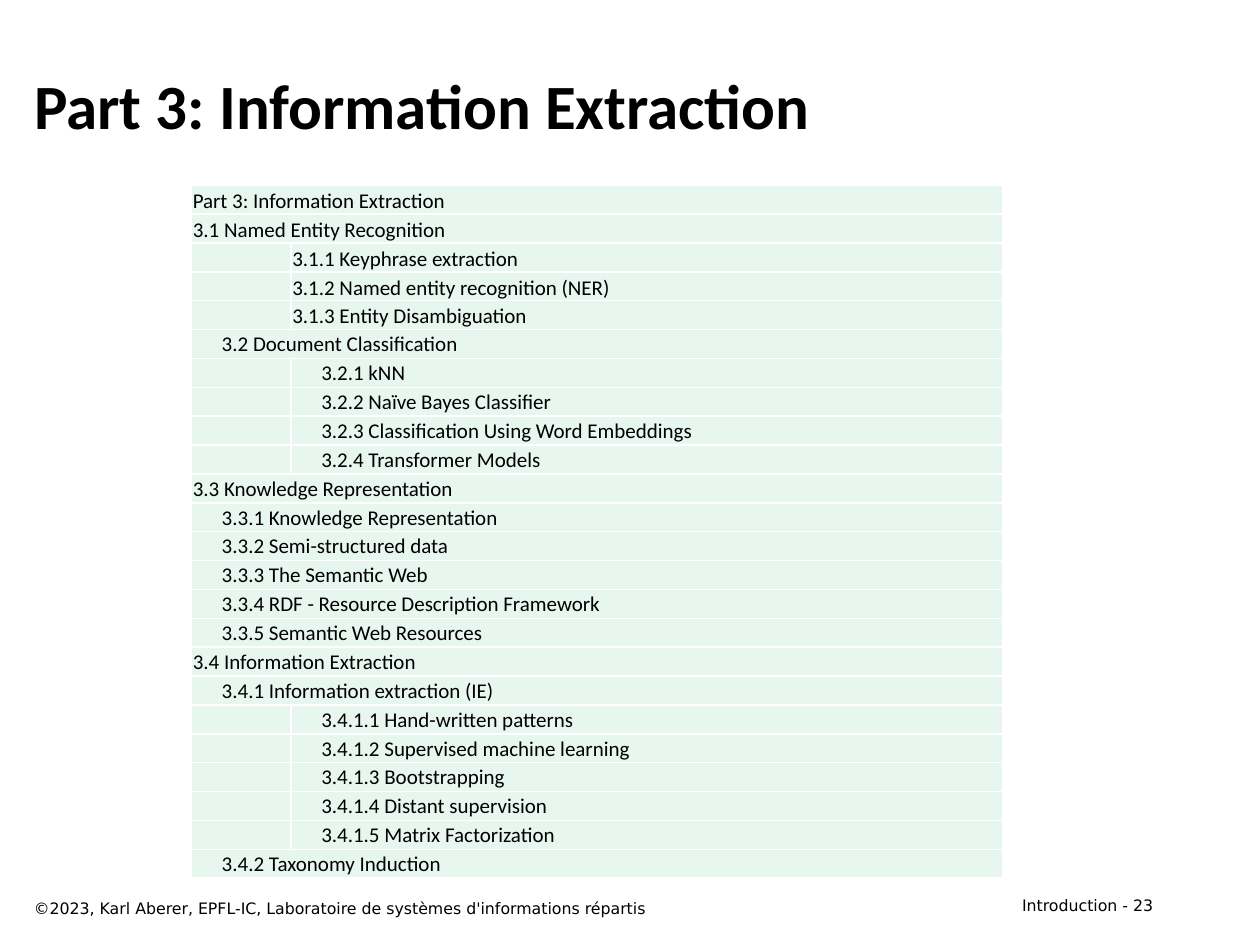
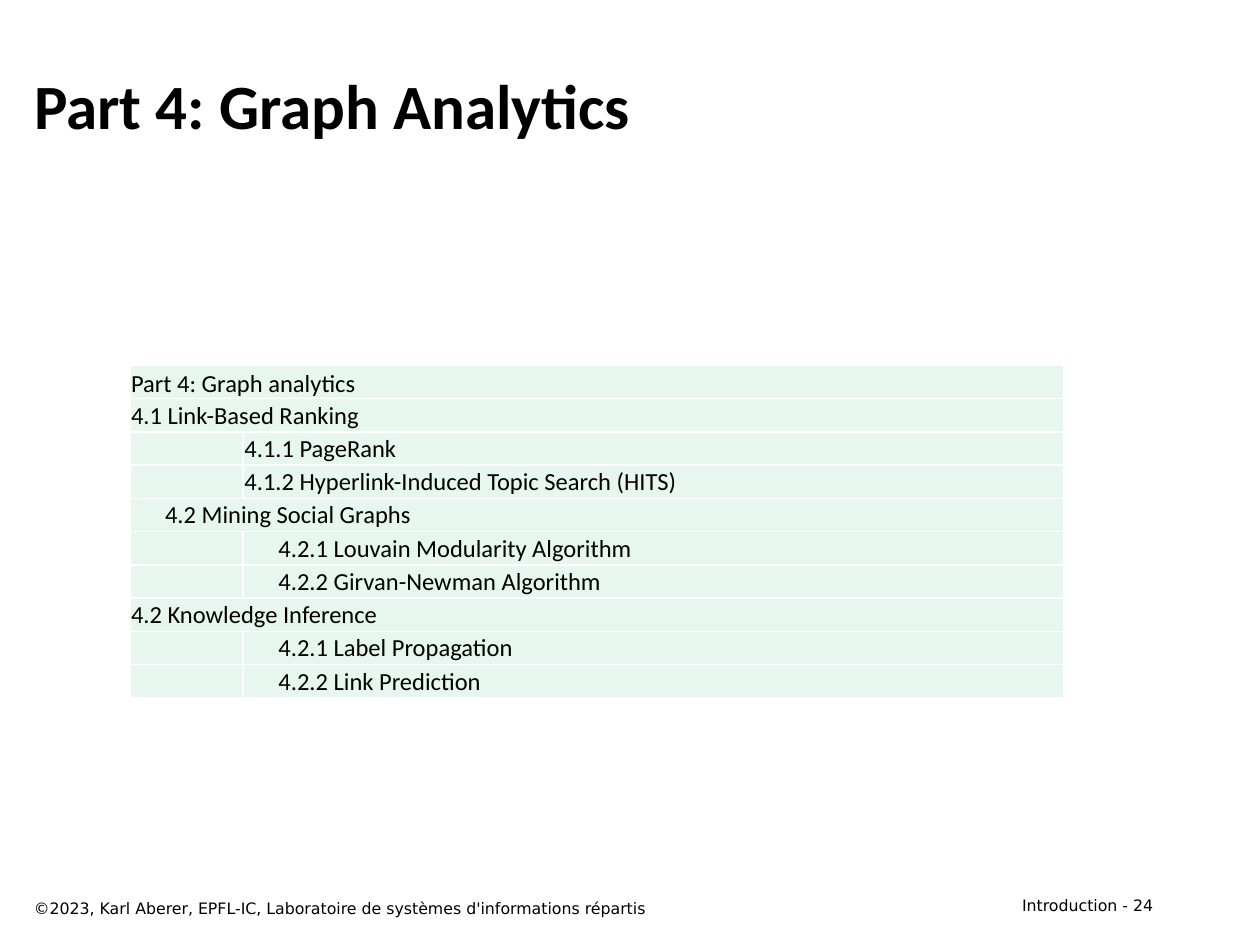
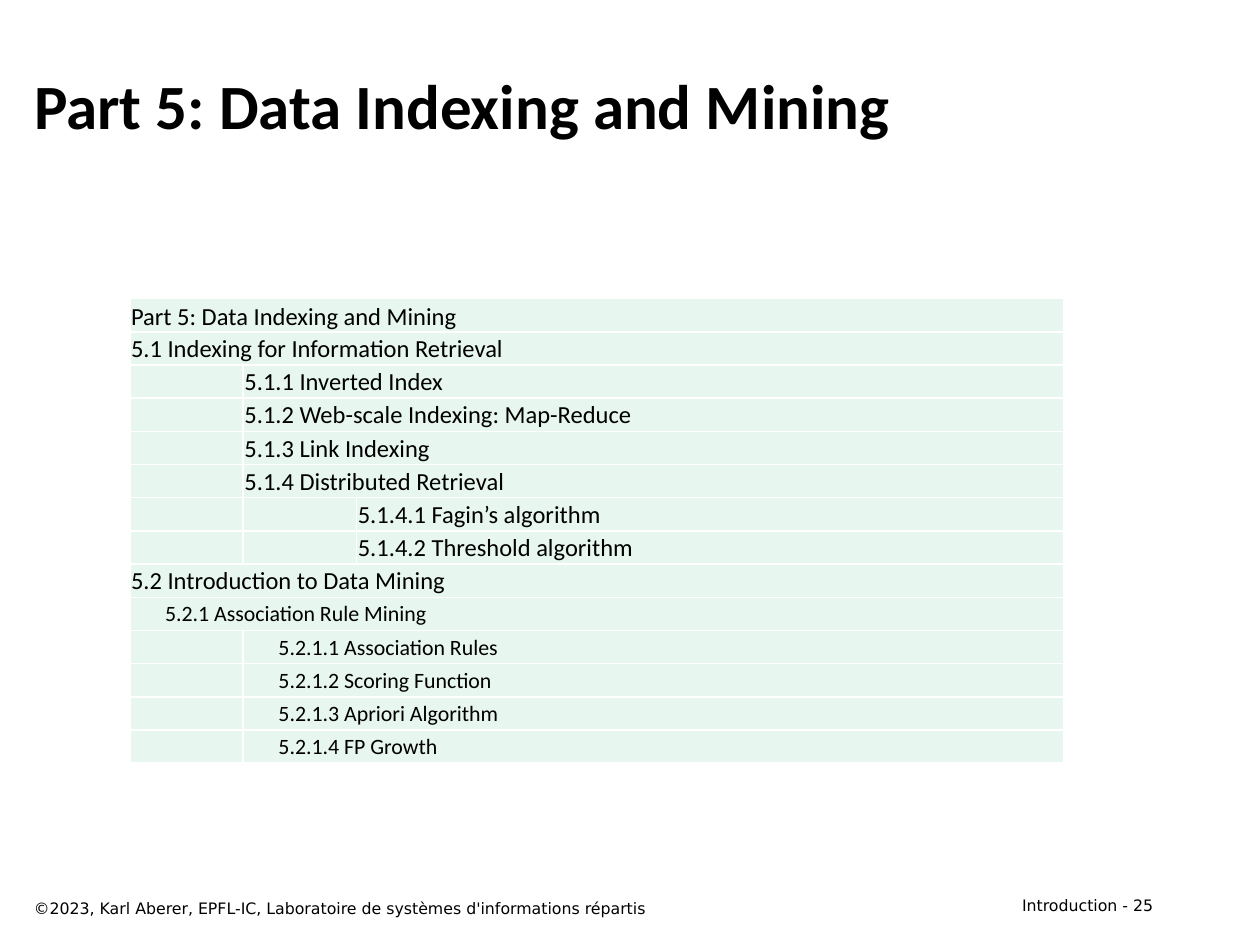
from pptx import Presentation
from pptx.dml.color import RGBColor
from pptx.enum.text import MSO_ANCHOR, PP_ALIGN
from pptx.util import Inches, Pt

LEFT, RIGHT = PP_ALIGN.LEFT, PP_ALIGN.RIGHT
TOP, MIDDLE, BOTTOM = MSO_ANCHOR.TOP, MSO_ANCHOR.MIDDLE, MSO_ANCHOR.BOTTOM

BLACK, MINT = "000000", "E7F6EF"
HEAD_FONT, FOOT_FONT = "Calibri", "DejaVu Sans"
MARGIN = 0.17
CONTENT_W = 9.08
FIRST_PAGE = 23
TITLE_ONLY = 5
COPYRIGHT = "©2023, Karl Aberer, EPFL-IC, Laboratoire de systèmes d'informations répartis"

# Each outline row: (starting column, indented, text).
# bottom_rows: leading rows set at the cell's bottom; small_from: first row in small type.
PARTS = [
    dict(title="Part 3: Information Extraction", left=1.52, top=1.47, height=5.5,
         cols=[0.79, 5.65], size=12, indent=0.24, bottom_rows=5, small_from=24, rows=[
             (0, False, "Part 3: Information Extraction"),
             (0, False, "3.1 Named Entity Recognition"),
             (1, False, "3.1.1 Keyphrase extraction"),
             (1, False, "3.1.2 Named entity recognition (NER)"),
             (1, False, "3.1.3 Entity Disambiguation"),
             (0, True, "3.2 Document Classification"),
             (1, True, "3.2.1 kNN"),
             (1, True, "3.2.2 Naïve Bayes Classifier"),
             (1, True, "3.2.3 Classification Using Word Embeddings"),
             (1, True, "3.2.4 Transformer Models"),
             (0, False, "3.3 Knowledge Representation"),
             (0, True, "3.3.1 Knowledge Representation"),
             (0, True, "3.3.2 Semi-structured data"),
             (0, True, "3.3.3 The Semantic Web"),
             (0, True, "3.3.4 RDF - Resource Description Framework"),
             (0, True, "3.3.5 Semantic Web Resources"),
             (0, False, "3.4 Information Extraction"),
             (0, True, "3.4.1 Information extraction (IE)"),
             (1, True, "3.4.1.1 Hand-written patterns"),
             (1, True, "3.4.1.2 Supervised machine learning"),
             (1, True, "3.4.1.3 Bootstrapping"),
             (1, True, "3.4.1.4 Distant supervision"),
             (1, True, "3.4.1.5 Matrix Factorization"),
             (0, True, "3.4.2 Taxonomy Induction"),
         ]),
    dict(title="Part 4: Graph Analytics", left=1.03, top=2.9, height=2.64,
         cols=[0.9, 6.51], size=14, indent=0.28, bottom_rows=1, small_from=10, rows=[
             (0, False, "Part 4: Graph analytics"),
             (0, False, "4.1 Link-Based Ranking"),
             (1, False, "4.1.1 PageRank"),
             (1, False, "4.1.2 Hyperlink-Induced Topic Search (HITS)"),
             (0, True, "4.2 Mining Social Graphs"),
             (1, True, "4.2.1 Louvain Modularity Algorithm"),
             (1, True, "4.2.2 Girvan-Newman Algorithm"),
             (0, False, "4.2 Knowledge Inference"),
             (1, True, "4.2.1 Label Propagation"),
             (1, True, "4.2.2 Link Prediction"),
         ]),
    dict(title="Part 5: Data Indexing and Mining", left=1.03, top=2.37, height=3.69,
         cols=[0.9, 0.9, 5.61], size=14, indent=0.28, bottom_rows=1, small_from=9, rows=[
             (0, False, "Part 5: Data Indexing and Mining"),
             (0, False, "5.1 Indexing for Information Retrieval"),
             (1, False, "5.1.1 Inverted Index"),
             (1, False, "5.1.2 Web-scale Indexing: Map-Reduce"),
             (1, False, "5.1.3 Link Indexing"),
             (1, False, "5.1.4 Distributed Retrieval"),
             (2, False, "5.1.4.1 Fagin’s algorithm"),
             (2, False, "5.1.4.2 Threshold algorithm"),
             (0, False, "5.2 Introduction to Data Mining"),
             (0, True, "5.2.1 Association Rule Mining"),
             (1, True, "5.2.1.1 Association Rules"),
             (1, True, "5.2.1.2 Scoring Function"),
             (1, True, "5.2.1.3 Apriori Algorithm"),
             (1, True, "5.2.1.4 FP Growth"),
         ]),
]
SMALL = 12.5


def rgb(color):
    return RGBColor.from_string(color)


def write(tf, text, size=9, font=FOOT_FONT, bold=False, align=LEFT):
    tf.word_wrap = True
    p = tf.paragraphs[0]
    p.alignment = align
    r = p.add_run()
    r.text = text
    r.font.size = Pt(size)
    r.font.name = font
    r.font.bold = bold
    r.font.color.rgb = rgb(BLACK)


prs = Presentation()
prs.slide_width, prs.slide_height = Inches(10), Inches(7.5)

for page, part in enumerate(PARTS, FIRST_PAGE):
    s = prs.slides.add_slide(prs.slide_layouts[TITLE_ONLY])

    title = s.shapes.title
    title.left, title.top = Inches(MARGIN), Inches(0.33)
    title.width, title.height = Inches(CONTENT_W), Inches(1)
    title.text_frame.vertical_anchor = MIDDLE
    write(title.text_frame, part["title"], size=36, font=HEAD_FONT, bold=True)

    for text, left, top, width, align in [
        (COPYRIGHT, MARGIN, 7.08, 6.42, LEFT),
        (f"Introduction - {page}", 7.17, 7.06, 2.08, RIGHT),
    ]:
        sp = s.shapes.add_textbox(Inches(left), Inches(top), Inches(width), Inches(0.25))
        sp.text_frame.vertical_anchor = TOP
        write(sp.text_frame, text, align=align)

    rows, cols = part["rows"], part["cols"]
    outline = s.shapes.add_table(len(rows), len(cols), Inches(part["left"]), Inches(part["top"]),
                                 Inches(sum(cols)), Inches(part["height"])).table
    outline.first_row = outline.horz_banding = False
    for column, width in zip(outline.columns, cols):
        column.width = Inches(width)

    for i, (start, indented, text) in enumerate(rows):
        outline.rows[i].height = Inches(part["height"] / len(rows))
        for cell in outline.rows[i].cells:
            cell.fill.solid()
            cell.fill.fore_color.rgb = rgb(MINT)
            cell.margin_left = cell.margin_top = cell.margin_right = Inches(0.01)
            cell.margin_bottom = 0
            # Keeps empty cells from stretching the row.
            end = cell.text_frame.paragraphs[0]._p.get_or_add_endParaRPr()
            end.set("sz", str(part["size"] * 100))

        cell = outline.cell(i, start)
        if start < len(cols) - 1:
            cell.merge(outline.cell(i, len(cols) - 1))
        if indented:
            cell.margin_left = Inches(part["indent"])
        cell.vertical_anchor = BOTTOM if i < part["bottom_rows"] else MIDDLE
        size = SMALL if i >= part["small_from"] else part["size"]
        write(cell.text_frame, text, size=size, font=HEAD_FONT)

prs.save("out.pptx")
